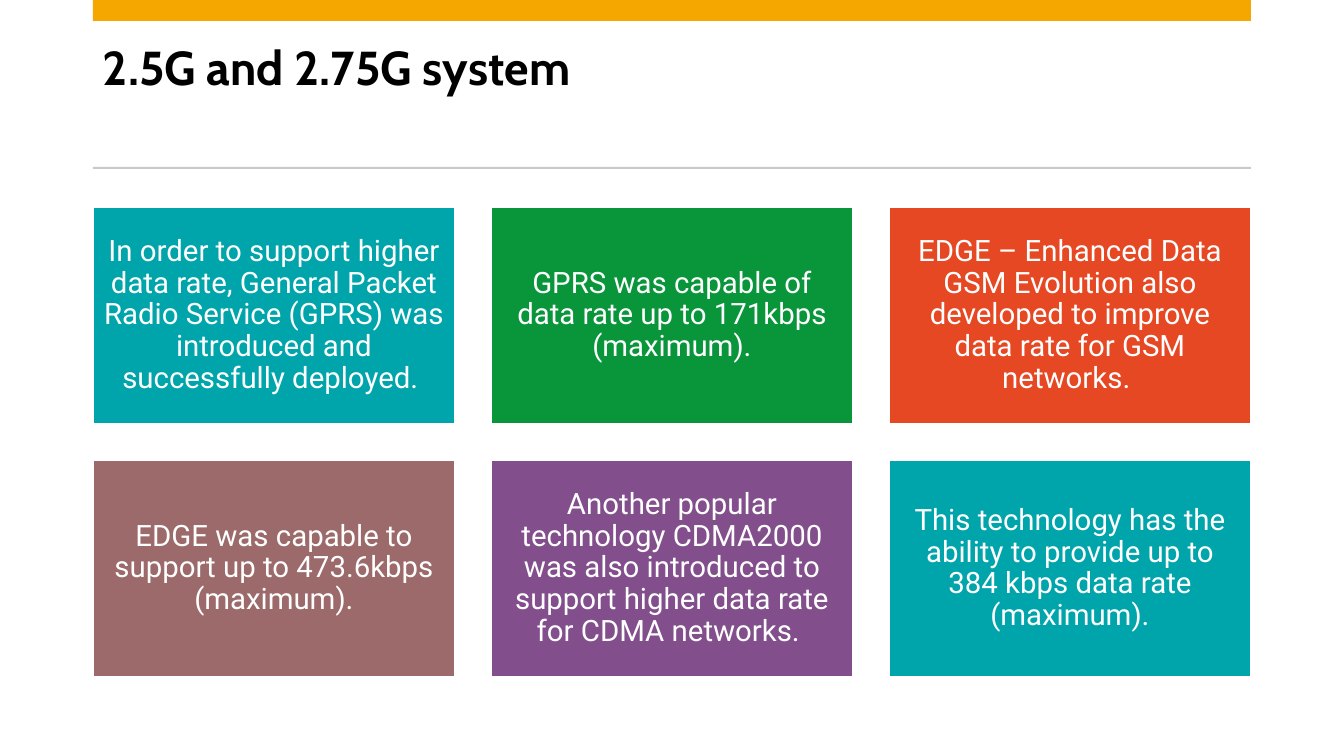
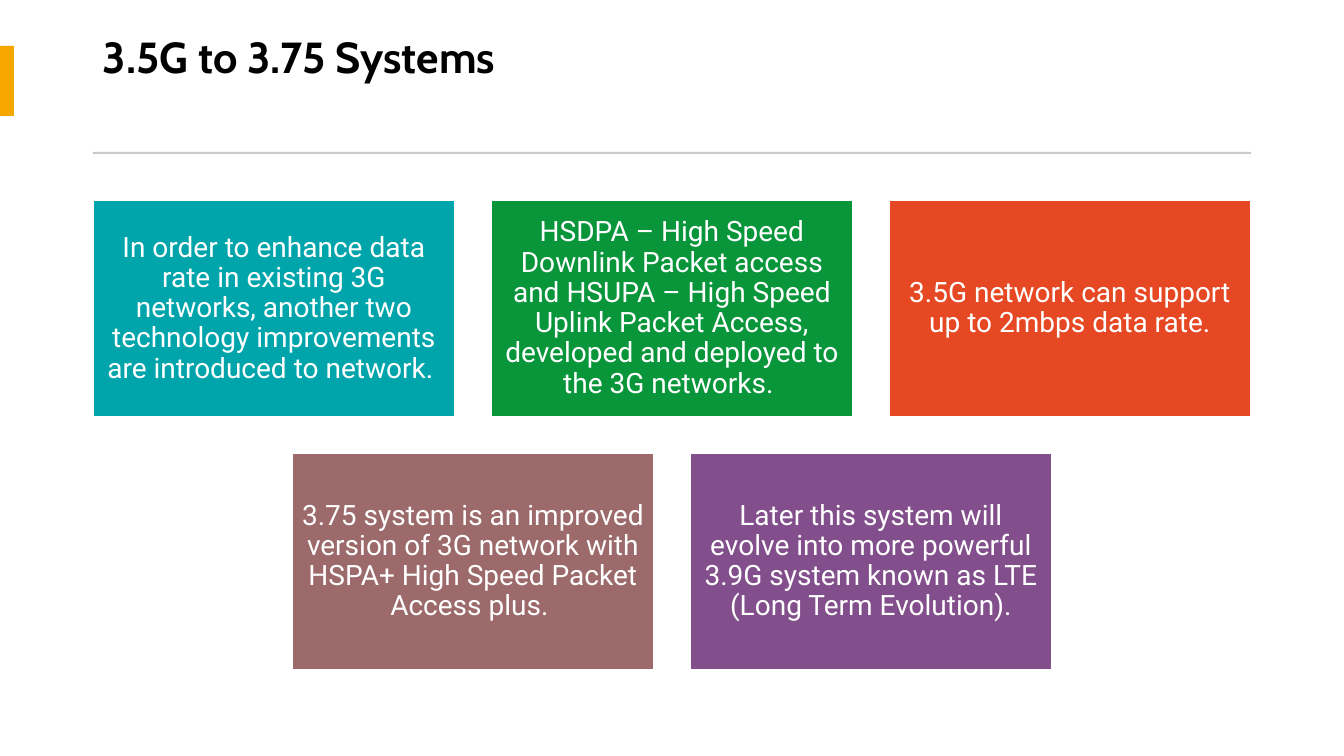
from pptx import Presentation
from pptx import util as u
from pptx.dml.color import RGBColor
from pptx.enum import shapes, text

SLIDE = (1344, 756)
LEFT, CONTENT_WIDTH = 93, 1158
CARD_WIDTH, CARD_HEIGHT, GAP = 362, 217, 36
COLUMNS = 3
WHITE, BLACK, ACCENT, RULE = "FFFFFF", "000000", "F5A700", "C9C9C9"
CARD_COLOURS = ["00A5AB", "09963B", "E64823", "9C6A6A", "824F8C"]

# Boxes are left, top, width, height in px
PAGES = [
    {
        "title": "2.5G and 2.75G system",
        "title_box": (LEFT, 37, CONTENT_WIDTH, 119),
        "title_size": 34,
        "title_inset": 7,
        "accent": (LEFT, 0, CONTENT_WIDTH, 21),
        "rule_top": 167,
        "cards_top": 207,
        "card_size": 21,
        "card_inset": 9,
        "cards": [
            "In order to support higher data rate, General Packet Radio Service (GPRS) was introduced and successfully deployed. ",
            "GPRS was capable of data rate up to 171kbps (maximum).",
            "EDGE – Enhanced Data GSM Evolution also developed to improve data rate for GSM networks. ",
            "EDGE was capable to support up to 473.6kbps (maximum).",
            "Another popular technology CDMA2000 was also introduced to support higher data rate for CDMA networks. ",
            "This technology has the ability to provide up to 384 kbps data rate (maximum).",
        ],
    },
    {
        "title": "3.5G to 3.75 Systems",
        "title_box": (LEFT, 27, CONTENT_WIDTH, 111),
        "title_size": 31,
        "title_inset": 9,
        "accent": (0, 46, 14, 70),
        "rule_top": 152,
        "cards_top": 200,
        "card_size": 20,
        "card_inset": 8,
        "cards": [
            "In order to enhance data rate in existing 3G networks, another two technology improvements are introduced to network. ",
            "HSDPA – High Speed Downlink Packet access and HSUPA – High Speed Uplink Packet Access, developed and deployed to the 3G networks. ",
            "3.5G network can support up to 2mbps data rate.",
            "3.75 system is an improved version of 3G network with HSPA+ High Speed Packet Access plus. ",
            "Later this system will evolve into more powerful 3.9G system known as LTE (Long Term Evolution).",
        ],
    },
]


def px(length):
    return u.Emu(round(length * 914400 / 100.8))


def colour(value):
    return RGBColor.from_string(value)


def add_box(page, box, fill, line=None):
    shape = page.shapes.add_shape(shapes.MSO_SHAPE.RECTANGLE, *map(px, box))
    shape.shadow.inherit = False
    shape.fill.solid()
    shape.fill.fore_color.rgb = colour(fill)
    if line:
        shape.line.color.rgb = colour(line)
        shape.line.width = u.Pt(1)
    else:
        shape.line.fill.background()
    return shape


def write(shape, words, *, font, size, fill, bold=False,
          align=text.PP_ALIGN.LEFT, anchor=text.MSO_ANCHOR.MIDDLE, insets):
    """Fill a shape with one paragraph; insets are horizontal and vertical px."""
    frame = shape.text_frame
    frame.word_wrap = True
    frame.vertical_anchor = anchor
    frame.margin_left = frame.margin_right = px(insets[0])
    frame.margin_top = frame.margin_bottom = px(insets[1])
    para = frame.paragraphs[0]
    para.alignment = align
    para.line_spacing = 0.9
    span = para.add_run()
    span.text = words
    span.font.name = font
    span.font.size = u.Pt(size)
    span.font.bold = bold
    span.font.color.rgb = colour(fill)


def add_frame(page, content):
    """Draw the title, the accent bar and the rule."""
    title = page.shapes.add_textbox(*map(px, content["title_box"]))
    write(title, content["title"], font="Cabin", size=content["title_size"],
          fill=BLACK, bold=True, anchor=text.MSO_ANCHOR.TOP,
          insets=(10, content["title_inset"]))
    add_box(page, content["accent"], ACCENT)
    add_box(page, (LEFT, content["rule_top"], CONTENT_WIDTH, 2), RULE)


def add_cards(page, content):
    """Lay the cards out in rows, centring a row that is not full."""
    cards = content["cards"]
    pitch = CARD_WIDTH + GAP
    for index, words in enumerate(cards):
        row, column = divmod(index, COLUMNS)
        in_row = min(COLUMNS, len(cards) - row * COLUMNS)
        left = LEFT + (COLUMNS - in_row) * pitch / 2 + column * pitch
        top = content["cards_top"] + row * (CARD_HEIGHT + GAP)
        card = add_box(page, (left, top, CARD_WIDTH, CARD_HEIGHT),
                       CARD_COLOURS[index % len(CARD_COLOURS)], line=WHITE)
        write(card, words, font="Roboto", size=content["card_size"], fill=WHITE,
              align=text.PP_ALIGN.CENTER, insets=(content["card_inset"],) * 2)


def main():
    deck = Presentation()
    deck.slide_width, deck.slide_height = map(px, SLIDE)
    for content in PAGES:
        page = deck.slides.add_slide(deck.slide_layouts[6])
        add_frame(page, content)
        add_cards(page, content)
    deck.save("out.pptx")


if __name__ == "__main__":
    main()
